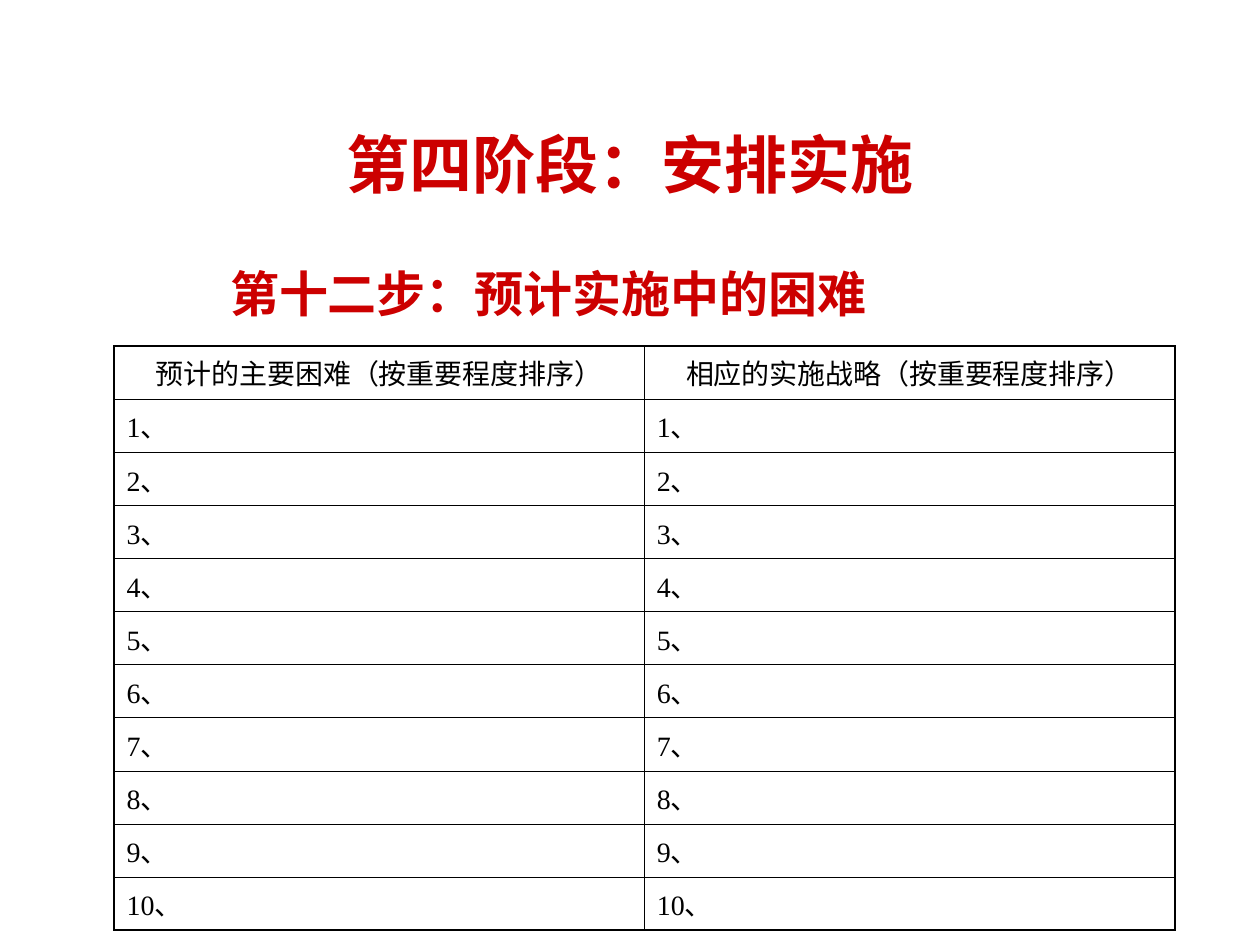
import dataclasses

import pptx
import pptx.dml.color
import pptx.enum.text
import pptx.oxml
import pptx.oxml.ns
import pptx.util

Cm = pptx.util.Cm
Pt = pptx.util.Pt
ALIGN = pptx.enum.text.PP_ALIGN
ANCHOR = pptx.enum.text.MSO_ANCHOR


@dataclasses.dataclass(frozen=True)
class Theme:
    font: str = "Times New Roman"
    heading: str = "CC0000"
    ink: str = "000000"
    title_size: int = 36
    step_size: int = 28
    cell_size: int = 16
    outer_line: float = 1.08
    inner_line: float = 0.45


THEME = Theme()
HEADERS = ["预计的主要困难（按重要程度排序）", "相应的实施战略（按重要程度排序）"]
ENTRY_COUNT = 10


def apply_formats(target, formats):
    for name, value in formats.items():
        setattr(target, name, value)


def write_text(frame, text, size, colour, bold=False, align=ALIGN.LEFT):
    para = frame.paragraphs[0]
    para.alignment = align
    span = para.add_run()
    span.text = text
    apply_formats(span.font, {"name": THEME.font, "size": Pt(size), "bold": bold})
    span.font.color.rgb = pptx.dml.color.RGBColor.from_string(colour)


def place_title(page, text):
    title = page.shapes.title
    apply_formats(title, {
        "left": Cm(1.9), "top": Cm(1.7), "width": Cm(21.6), "height": Cm(3.18),
    })
    apply_formats(title.text_frame, {
        "vertical_anchor": ANCHOR.MIDDLE,
        "auto_size": pptx.enum.text.MSO_AUTO_SIZE.NONE,
    })
    write_text(title.text_frame, text, THEME.title_size, THEME.heading, True, ALIGN.CENTER)


def add_step(page, text):
    box = page.shapes.add_textbox(Cm(3.28), Cm(5.18), Cm(21.6), Cm(11.43))
    apply_formats(box.text_frame, {"word_wrap": True, "margin_left": Cm(1.36)})
    write_text(box.text_frame, text, THEME.step_size, THEME.heading, True)


def set_borders(cell, widths):
    properties = cell._tc.get_or_add_tcPr()
    for index, (side, width) in enumerate(widths.items()):
        line = pptx.oxml.parse_xml(
            f'<a:ln{side} {pptx.oxml.ns.nsdecls("a")} w="{Pt(width)}">'
            f'<a:solidFill><a:srgbClr val="{THEME.ink}"/></a:solidFill>'
            f'</a:ln{side}>'
        )
        properties.insert(index, line)


def add_grid(page, rows):
    last_row, last_column = len(rows) - 1, len(rows[0]) - 1
    table = page.shapes.add_table(
        len(rows), len(rows[0]), Cm(2.3), Cm(6.98), Cm(21.38), Cm(1.07) * len(rows)
    ).table
    apply_formats(table, {"first_row": False, "horz_banding": False})
    for i, row in enumerate(rows):
        for j, text in enumerate(row):
            cell = table.cell(i, j)
            cell.fill.background()
            edges = {"L": j == 0, "R": j == last_column, "T": i == 0, "B": i == last_row}
            set_borders(cell, {
                side: THEME.outer_line if outer else THEME.inner_line
                for side, outer in edges.items()
            })
            align = ALIGN.CENTER if i == 0 else ALIGN.LEFT
            write_text(cell.text_frame, text, THEME.cell_size, THEME.ink, align=align)


def main():
    deck = pptx.Presentation()
    apply_formats(deck, {"slide_width": Cm(25.4), "slide_height": Cm(19.05)})
    page = deck.slides.add_slide(deck.slide_layouts.get_by_name("Title Only"))
    place_title(page, "第四阶段：安排实施")
    add_step(page, "第十二步：预计实施中的困难")
    entries = [[f"{number}、"] * len(HEADERS) for number in range(1, ENTRY_COUNT + 1)]
    add_grid(page, [HEADERS] + entries)
    deck.save("out.pptx")


if __name__ == "__main__":
    main()
